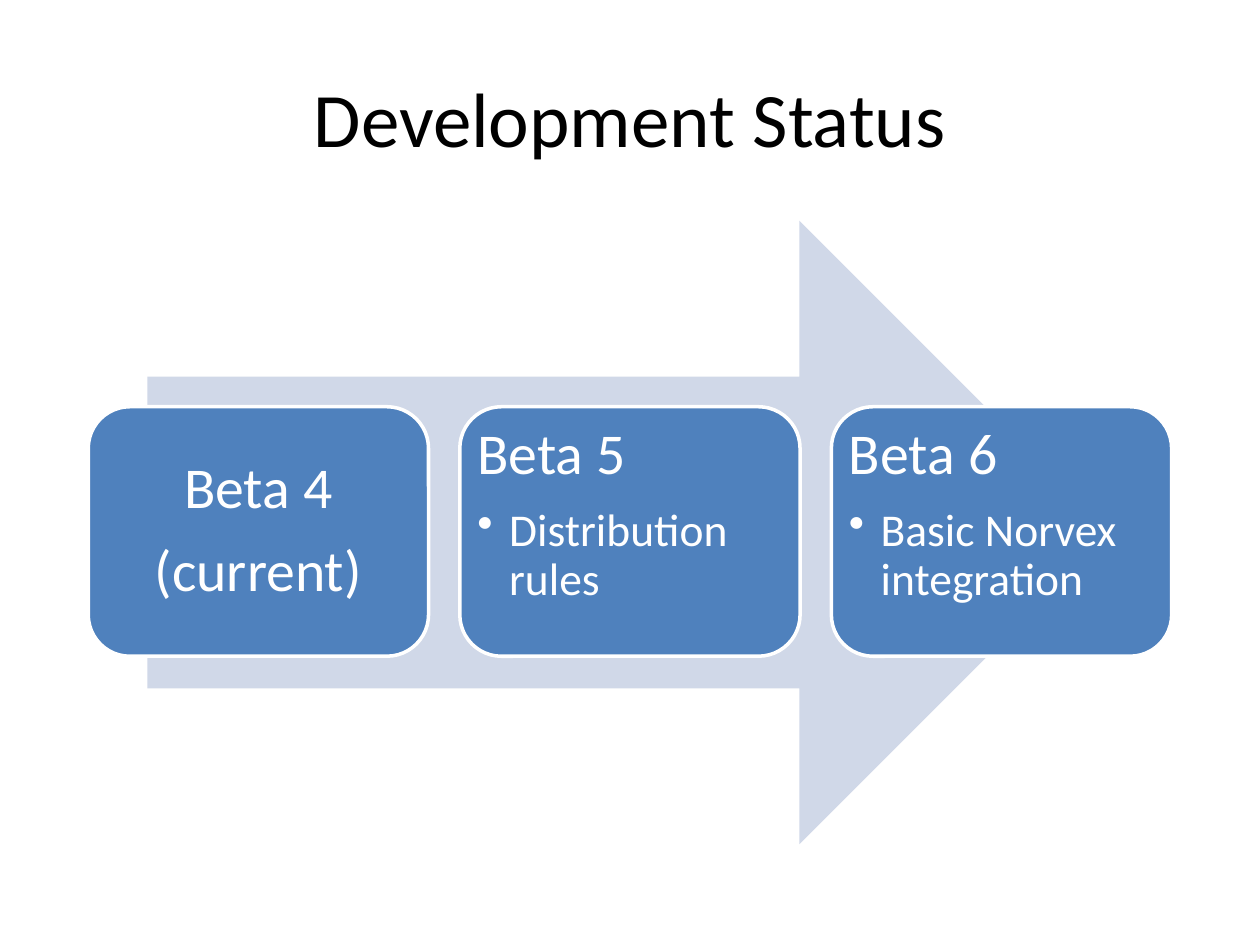
import pptx
import pptx.dml.color
import pptx.enum.shapes
import pptx.enum.text
import pptx.oxml.ns
import pptx.util
from lxml import etree

Cm = pptx.util.Cm
Pt = pptx.util.Pt
RGBColor = pptx.dml.color.RGBColor
MSO_SHAPE = pptx.enum.shapes.MSO_SHAPE
PP_ALIGN = pptx.enum.text.PP_ALIGN
MSO_ANCHOR = pptx.enum.text.MSO_ANCHOR
qn = pptx.oxml.ns.qn

BLACK = RGBColor(0x00, 0x00, 0x00)
WHITE = RGBColor(0xFF, 0xFF, 0xFF)
BLUE = RGBColor(0x4F, 0x81, 0xBD)
PALE_BLUE = RGBColor(0xD0, 0xD8, 0xE8)

# Heading and bullet items of each release
RELEASES = [
    (["Beta 4", "(current)"], []),
    (["Beta 5"], ["Distribution rules"]),
    (["Beta 6"], ["Basic Norvex integration"]),
]
CARD_LEFT, CARD_TOP, CARD_W, CARD_H = 1.78, 8.2, 6.86, 5.03
CARD_STEP = 7.49


def apply(target, values):
    for name, value in values.items():
        setattr(target, name, value)


class SlideBuilder:
    font = "Calibri"
    heading = {"size": Pt(33), "after": Pt(11.55)}
    item = {"size": Pt(26), "after": Pt(3.9)}
    inset = Cm(0.11)
    indent = Cm(0.64)

    def __init__(self, prs):
        self.slide = prs.slides.add_slide(prs.slide_layouts[5])

    def run(self, p, text, size, color):
        r = p.add_run()
        r.text = text
        apply(r.font, {"name": self.font, "size": size})
        r.font.color.rgb = color

    def title(self, text, left, top, width, height):
        sp = self.slide.shapes.title
        apply(sp, {"left": Cm(left), "top": Cm(top),
                   "width": Cm(width), "height": Cm(height)})
        sp.text_frame.vertical_anchor = MSO_ANCHOR.MIDDLE
        p = sp.text_frame.paragraphs[0]
        p.alignment = PP_ALIGN.CENTER
        self.run(p, text, Pt(44), BLACK)

    def shape(self, kind, left, top, width, height, fill, line=None):
        sp = self.slide.shapes.add_shape(
            kind, Cm(left), Cm(top), Cm(width), Cm(height))
        sp.shadow.inherit = False
        sp.fill.solid()
        sp.fill.fore_color.rgb = fill
        if line is None:
            sp.line.fill.background()
        else:
            sp.line.color.rgb = line
            sp.line.width = Pt(2)
        return sp

    def bullet(self, p):
        p.level = 1
        pPr = p._p.get_or_add_pPr()
        pPr.set("marL", str(self.indent))
        pPr.set("indent", str(-self.indent))
        etree.SubElement(pPr, qn("a:buChar")).set("char", "•")

    def card(self, left, headings, items):
        """Rounded box: centred headings alone, or top-left with bullets."""
        sp = self.shape(MSO_SHAPE.ROUNDED_RECTANGLE, left, CARD_TOP,
                        CARD_W, CARD_H, BLUE, WHITE)
        tf = sp.text_frame
        sides = ("left", "top", "right", "bottom")
        apply(tf, {f"margin_{side}": self.inset for side in sides})
        apply(tf, {
            "word_wrap": True,
            "vertical_anchor": MSO_ANCHOR.TOP if items else MSO_ANCHOR.MIDDLE,
        })
        lines = [(text, self.heading) for text in headings]
        lines += [(text, self.item) for text in items]
        for i, (text, style) in enumerate(lines):
            p = tf.add_paragraph() if i else tf.paragraphs[0]
            apply(p, {
                "alignment": PP_ALIGN.LEFT if items else PP_ALIGN.CENTER,
                "line_spacing": 0.9,
                "space_after": style["after"],
            })
            if style is self.item:
                self.bullet(p)
            self.run(p, text, style["size"], WHITE)


def main():
    prs = pptx.Presentation()
    apply(prs, {"slide_width": Cm(25.4), "slide_height": Cm(19.05)})
    s = SlideBuilder(prs)
    s.title("Development Status", 1.27, 0.76, 22.86, 3.18)
    s.shape(MSO_SHAPE.RIGHT_ARROW, 2.97, 4.45, 19.43, 12.57, PALE_BLUE)
    for i, (headings, items) in enumerate(RELEASES):
        s.card(CARD_LEFT + i * CARD_STEP, headings, items)
    prs.save("out.pptx")


if __name__ == "__main__":
    main()
